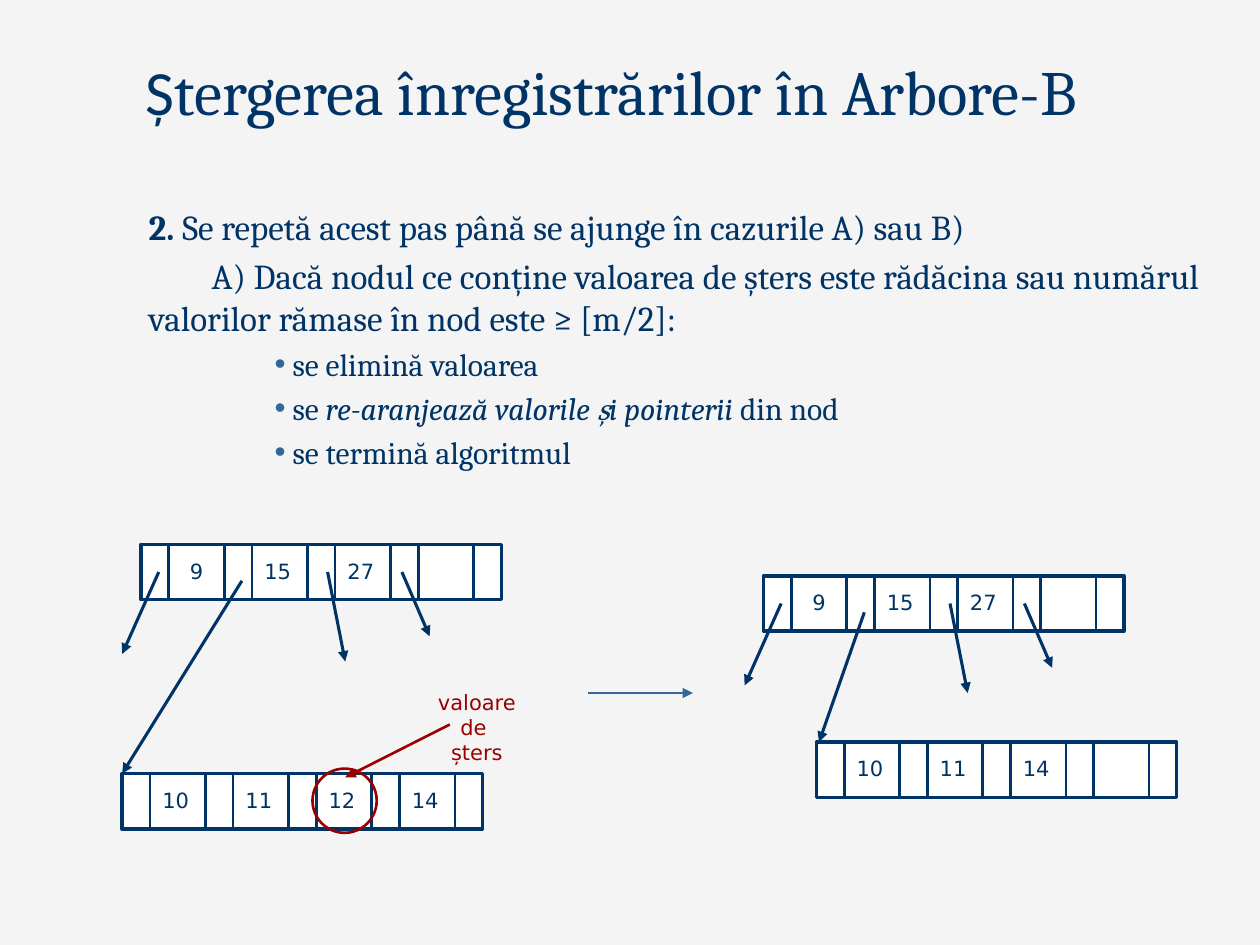
from dataclasses import dataclass

from lxml import etree
from pptx import Presentation
from pptx.dml.color import RGBColor
from pptx.enum.shapes import MSO_CONNECTOR, MSO_SHAPE
from pptx.enum.text import MSO_ANCHOR, MSO_AUTO_SIZE, PP_ALIGN
from pptx.oxml.ns import qn
from pptx.util import Inches, Pt

RECT, OVAL = MSO_SHAPE.RECTANGLE, MSO_SHAPE.OVAL
STRAIGHT = MSO_CONNECTOR.STRAIGHT
LEFT, CENTER = PP_ALIGN.LEFT, PP_ALIGN.CENTER


@dataclass(frozen=True)
class Theme:
    bg: str = "F4F4F4"
    navy: str = "003366"
    blue: str = "336699"
    red: str = "9A0000"
    white: str = "FFFFFF"
    serif: str = "Cambria"
    sans: str = "Calibri"
    label: str = "DejaVu Sans"
    title_pt: float = 36
    body_pt: float = 20
    bullet_pt: float = 18
    label_pt: float = 12


@dataclass(frozen=True)
class Node:
    x: float
    y: float
    keys: tuple[str, ...]


@dataclass(frozen=True)
class Tree:
    root: Node
    leaf: Node
    tip: tuple[float, float]  # where the pointer meets the leaf


@dataclass(frozen=True)
class Line:
    runs: tuple[tuple[str, str], ...]  # text and style: "", "b" or "i"
    bullet: bool = False


T = Theme()
NODE_W, NODE_H, PTR_W, KEY_W = 2.86, 0.44, 0.22, 0.44
# Free pointers of a root: start and end, measured from its corner
POINTERS = (((0.14, 0.22), (-0.15, 0.87)),
            ((1.48, 0.22), (1.62, 0.93)),
            ((2.07, 0.22), (2.29, 0.73)))
LEAF_POINTER = (0.8, 0.29)

TREES = (
    Tree(Node(1.12, 4.32, ("9", "15", "27", "")),
         Node(0.97, 6.14, ("10", "11", "12", "14")), (0.97, 6.14)),
    Tree(Node(6.06, 4.57, ("9", "15", "27", "")),
         Node(6.48, 5.89, ("10", "11", "14", "")), (6.5, 5.89)),
)
BODY = (
    Line((("2. ", "b"),
          ("Se repetă acest pas până se ajunge în cazurile A) sau B)", ""))),
    Line((("\tA) Dacă nodul ce conține valoarea de șters este rădăcina sau "
           "numărul valorilor rămase în nod este ≥ [m/2]:", ""),)),
    Line(((" se elimină valoarea", ""),), True),
    Line(((" se ", ""), ("re-aranjează valorile și pointerii", "i"),
          (" din nod", "")), True),
    Line(((" se termină algoritmul", ""),), True),
)


def rgb(color: str) -> RGBColor:
    return RGBColor.from_string(color)


def place(sp, x: float, y: float, w: float, h: float) -> None:
    sp.left, sp.top, sp.width, sp.height = map(Inches, (x, y, w, h))


def add_run(p, text: str, *, font: str = T.serif, size: float = T.body_pt,
            color: str = T.navy, bold: bool = False, italic: bool = False) -> None:
    r = p.add_run()
    r.text = text
    r.font.name, r.font.size = font, Pt(size)
    r.font.bold, r.font.italic = bold, italic
    r.font.color.rgb = rgb(color)


def add_label(shapes, x: float, y: float, w: float, h: float, lines: tuple[str, ...],
              *, align=LEFT, color: str = T.navy) -> None:
    tf = shapes.add_textbox(*map(Inches, (x, y, w, h))).text_frame
    tf.word_wrap = True
    p = tf.paragraphs[0]
    p.alignment = align
    for i, line in enumerate(lines):
        if i:
            p.add_line_break()
        add_run(p, line, font=T.label, size=T.label_pt, color=color)


def add_line(shapes, start: tuple[float, float], end: tuple[float, float], *,
             color: str = T.navy, width: float = 1.5, arrow: bool = False) -> None:
    cn = shapes.add_connector(STRAIGHT, *map(Inches, (*start, *end)))
    cn.line.color.rgb, cn.line.width = rgb(color), Pt(width)
    if arrow:
        etree.SubElement(cn.line._get_or_add_ln(), qn("a:tailEnd"), type="triangle")
    etree.SubElement(cn._element.spPr, qn("a:effectLst"))


def add_outline(shapes, kind, x: float, y: float, w: float, h: float, *,
                color: str, width: float, fill: str | None = None) -> None:
    sp = shapes.add_shape(kind, *map(Inches, (x, y, w, h)))
    sp.shadow.inherit = False
    sp.line.color.rgb, sp.line.width = rgb(color), Pt(width)
    if fill:
        sp.fill.solid()
        sp.fill.fore_color.rgb = rgb(fill)
    else:
        sp.fill.background()


def add_node(shapes, node: Node) -> None:
    group = shapes.add_group_shape().shapes
    add_outline(group, RECT, node.x, node.y, NODE_W, NODE_H,
                color=T.navy, width=2, fill=T.white)
    for i, key in enumerate(node.keys):
        x = node.x + PTR_W + i * (PTR_W + KEY_W)
        if key:
            add_label(group, x, node.y + 0.06, KEY_W, 0.3, (key,),
                      align=CENTER if len(key) == 1 else LEFT)
        for edge in (x, x + KEY_W):
            add_line(group, (edge, node.y + 0.01), (edge, node.y + NODE_H))


def add_tree(shapes, tree: Tree) -> None:
    def from_root(offset: tuple[float, float]) -> tuple[float, float]:
        return tree.root.x + offset[0], tree.root.y + offset[1]

    add_node(shapes, tree.root)
    add_node(shapes, tree.leaf)
    for start, end in POINTERS:
        add_line(shapes, from_root(start), from_root(end), width=1.75, arrow=True)
    add_line(shapes, from_root(LEAF_POINTER), tree.tip, width=1.75, arrow=True)


def add_body_line(p, line: Line) -> None:
    size = T.bullet_pt if line.bullet else T.body_pt
    p.level = 3 if line.bullet else 1
    p.alignment, p.space_before = LEFT, Pt(size * 0.2)
    pPr = p._p.get_or_add_pPr()
    pPr.set("marL", str(Inches(1.5 if line.bullet else 0.5)))
    pPr.set("indent", "0")
    if line.bullet:
        clr = etree.SubElement(pPr, qn("a:buClr"))
        etree.SubElement(clr, qn("a:srgbClr"), val=T.blue)
        etree.SubElement(pPr, qn("a:buChar"), char="•")
    else:
        etree.SubElement(pPr, qn("a:buNone"))
    for text, style in line.runs:
        add_run(p, text, size=size, bold=style == "b", italic=style == "i")


prs = Presentation()
prs.slide_width, prs.slide_height = Inches(10), Inches(7.5)
s = prs.slides.add_slide(prs.slide_layouts[1])
s.background.fill.solid()
s.background.fill.fore_color.rgb = rgb(T.bg)

# Title
title = s.shapes.title
place(title, 0.65, 0.36, 8.4, 0.71)
tf = title.text_frame
tf.auto_size, tf.vertical_anchor = MSO_AUTO_SIZE.NONE, MSO_ANCHOR.BOTTOM
p = tf.paragraphs[0]
p.alignment = CENTER
add_run(p, "Ș", font=T.sans, size=T.title_pt)
add_run(p, "tergerea înregistrărilor în Arbore-B", size=T.title_pt)

# Algorithm steps
body = s.placeholders[1]
place(body, 0.58, 1.58, 9.25, 2.45)
tf = body.text_frame
tf.auto_size = MSO_AUTO_SIZE.NONE
for i, line in enumerate(BODY):
    add_body_line(tf.add_paragraph() if i else tf.paragraphs[0], line)

# Trees before and after the deletion
for tree in TREES:
    add_tree(s.shapes, tree)
add_line(s.shapes, (4.67, 5.5), (5.5, 5.5), color=T.blue, arrow=True)

# Value to delete
add_outline(s.shapes, OVAL, 2.48, 6.1, 0.51, 0.51, color=T.red, width=1.5)
add_line(s.shapes, (3.57, 5.75), (2.74, 6.17), color=T.red, arrow=True)
add_label(s.shapes, 3.32, 5.42, 0.93, 0.71, ("valoare de ", "șters"),
          align=CENTER, color=T.red)

prs.save("out.pptx")
